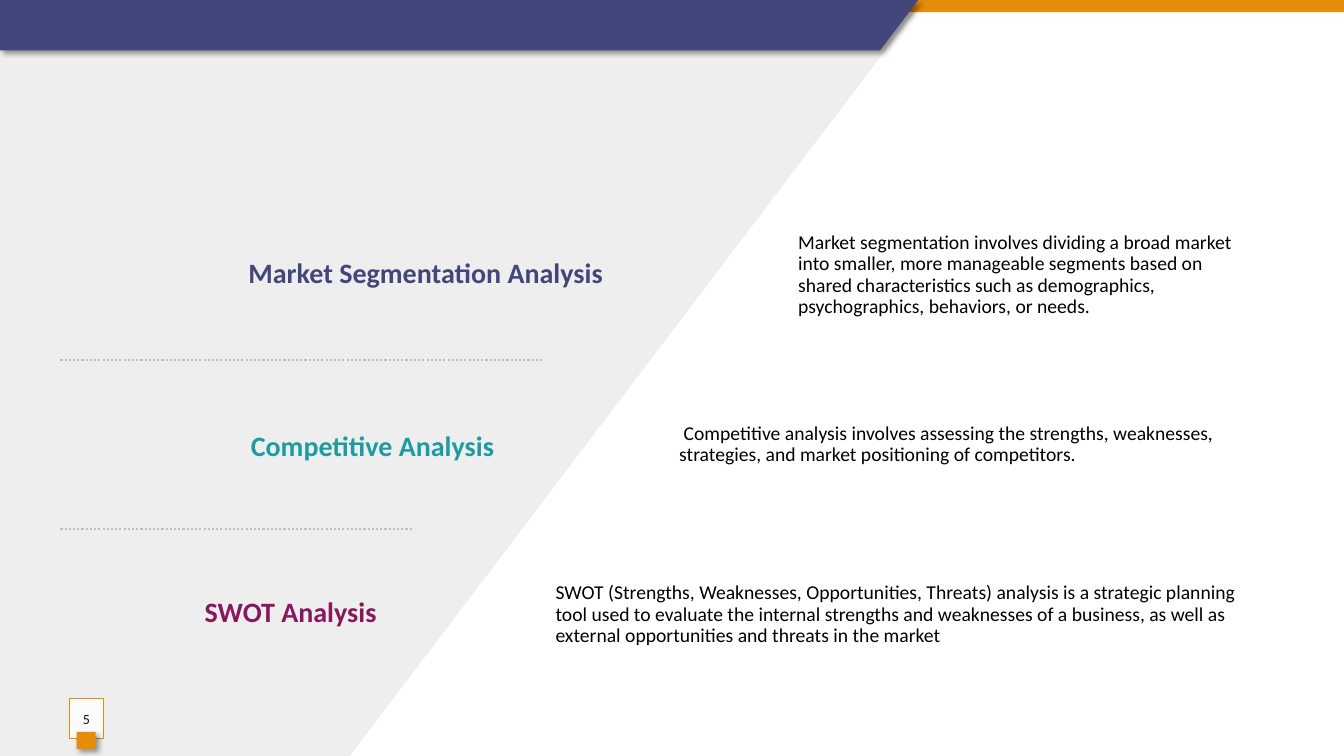
from lxml import etree
from pptx import Presentation
from pptx.dml.color import RGBColor
from pptx.enum.dml import MSO_LINE
from pptx.enum.shapes import MSO_CONNECTOR, MSO_SHAPE
from pptx.enum.text import MSO_ANCHOR, PP_ALIGN
from pptx.oxml.ns import qn
from pptx.util import Inches, Pt

RECTANGLE = MSO_SHAPE.RECTANGLE
STRAIGHT = MSO_CONNECTOR.STRAIGHT
DOTTED = MSO_LINE.ROUND_DOT
MIDDLE = MSO_ANCHOR.MIDDLE
LEFT, CENTER, RIGHT = PP_ALIGN.LEFT, PP_ALIGN.CENTER, PP_ALIGN.RIGHT

WHITE = RGBColor(0xFF, 0xFF, 0xFF)
BLACK = RGBColor(0x00, 0x00, 0x00)
INK = RGBColor(0x0D, 0x0D, 0x0D)
PALE_GRAY = RGBColor(0xEE, 0xEE, 0xEE)
RULE_GRAY = RGBColor(0xBF, 0xBF, 0xBF)
ORANGE = RGBColor(0xE5, 0x8C, 0x09)
INDIGO = RGBColor(0x43, 0x46, 0x7B)
TEAL = RGBColor(0x1D, 0x9B, 0xA1)
PLUM = RGBColor(0x87, 0x17, 0x5F)

COLUMNS, ROWS = 40, 30
MARGIN = 1.8
TEXT_RIGHT = 37.6

TOPICS = [
    ("Market Segmentation Analysis", INDIGO, 18.24, 10.88, 23.46, 10.92,
     "Market segmentation involves dividing a broad market into smaller, more "
     "manageable segments based on shared characteristics such as demographics, "
     "psychographics, behaviors, or needs."),
    ("Competitive Analysis", TEAL, 15, 17.76, 19.92, 17.64,
     " Competitive analysis involves assessing the strengths, weaknesses, "
     "strategies, and market positioning of competitors."),
    ("SWOT Analysis", PLUM, 11.5, 24.36, 16.24, 24.4,
     "SWOT (Strengths, Weaknesses, Opportunities, Threats) analysis is a strategic "
     "planning tool used to evaluate the internal strengths and weaknesses of a "
     "business, as well as external opportunities and threats in the market"),
]
DIVIDERS = [(16.2, 14.28), (12.3, 21)]


class SlideBuilder:
    font = "Calibri"

    def __init__(self, deck):
        self.column = deck.slide_width / COLUMNS
        self.row = deck.slide_height / ROWS
        self.page = deck.slides.add_slide(deck.slide_layouts[6])

    def point(self, column, row):
        return round(column * self.column), round(row * self.row)

    def paint(self, shape, color, shadow):
        shape.shadow.inherit = False
        shape.fill.solid()
        shape.fill.fore_color.rgb = color
        shape.line.fill.background()
        if shadow:
            effects = shape._element.spPr.find(qn("a:effectLst"))
            outer = etree.SubElement(effects, qn("a:outerShdw"), blurRad=str(Pt(4)),
                                     dist=str(Pt(3)), dir="2700000", algn="tl")
            tint = etree.SubElement(outer, qn("a:srgbClr"), val=str(BLACK))
            etree.SubElement(tint, qn("a:alpha"), val="40000")
        return shape

    def outline(self, corners, color, shadow=False):
        points = [self.point(*corner) for corner in corners]
        builder = self.page.shapes.build_freeform(*points[0])
        builder.add_line_segments(points[1:], close=True)
        return self.paint(builder.convert_to_shape(), color, shadow)

    def rectangle(self, left, top, width, height, color, shadow=False):
        shape = self.page.shapes.add_shape(
            RECTANGLE, *self.point(left, top), *self.point(width, height))
        return self.paint(shape, color, shadow)

    def set_text(self, shape, text, size, color, align, bold=False):
        frame = shape.text_frame
        frame.word_wrap = True
        frame.vertical_anchor = MIDDLE
        frame.text = text
        para = frame.paragraphs[0]
        para.alignment = align
        span = para.runs[0]
        span.font.name, span.font.size, span.font.bold = self.font, Pt(size), bold
        span.font.color.rgb = color
        return para

    def label(self, left, right, middle, height, text, size, color, align, bold=False):
        box = self.page.shapes.add_textbox(
            *self.point(left, middle - height / 2), *self.point(right - left, height))
        para = self.set_text(box, text, size, color, align, bold)
        para.line_spacing = 0.9

    def divider(self, right, row):
        line = self.page.shapes.add_connector(
            STRAIGHT, *self.point(MARGIN, row), *self.point(right, row))
        line.line.color.rgb = RULE_GRAY
        line.line.width = Pt(1.5)
        line.line.dash_style = DOTTED
        etree.SubElement(line._element.spPr, qn("a:effectLst"))

    def page_number(self, text):
        frame = self.rectangle(2.07, 27.72, 1, 1.6, WHITE)
        tint = frame._element.spPr.find(qn("a:solidFill"))[0]
        etree.SubElement(tint, qn("a:alpha"), val="82000")
        frame.line.color.rgb = ORANGE
        frame.line.width = Pt(0.75)
        frame.text_frame.margin_left = frame.text_frame.margin_right = 0
        self.set_text(frame, text, 10, INK, CENTER)
        self.rectangle(2.28, 29.04, 0.57, 0.68, ORANGE, shadow=True)


def main():
    deck = Presentation()
    deck.slide_width, deck.slide_height = Inches(13.33), Inches(7.5)
    slide = SlideBuilder(deck)
    slide.outline([(0, 0), (27.33, 0), (27.33, 0.28), (10.41, 30), (0, 30)], PALE_GRAY)
    slide.rectangle(0, 0, COLUMNS, 0.48, ORANGE)
    slide.outline([(0, 0), (27.33, 0), (26.19, 2), (0, 2)], INDIGO, shadow=True)
    for title, color, title_right, title_row, text_left, text_row, text in TOPICS:
        slide.label(text_left, TEXT_RIGHT, text_row, 4, text, 14, BLACK, LEFT)
        slide.label(MARGIN, title_right, title_row, 1.84, title, 20, color, RIGHT, bold=True)
    slide.page_number("5")
    for right, row in DIVIDERS:
        slide.divider(right, row)
    deck.save("out.pptx")


if __name__ == "__main__":
    main()
